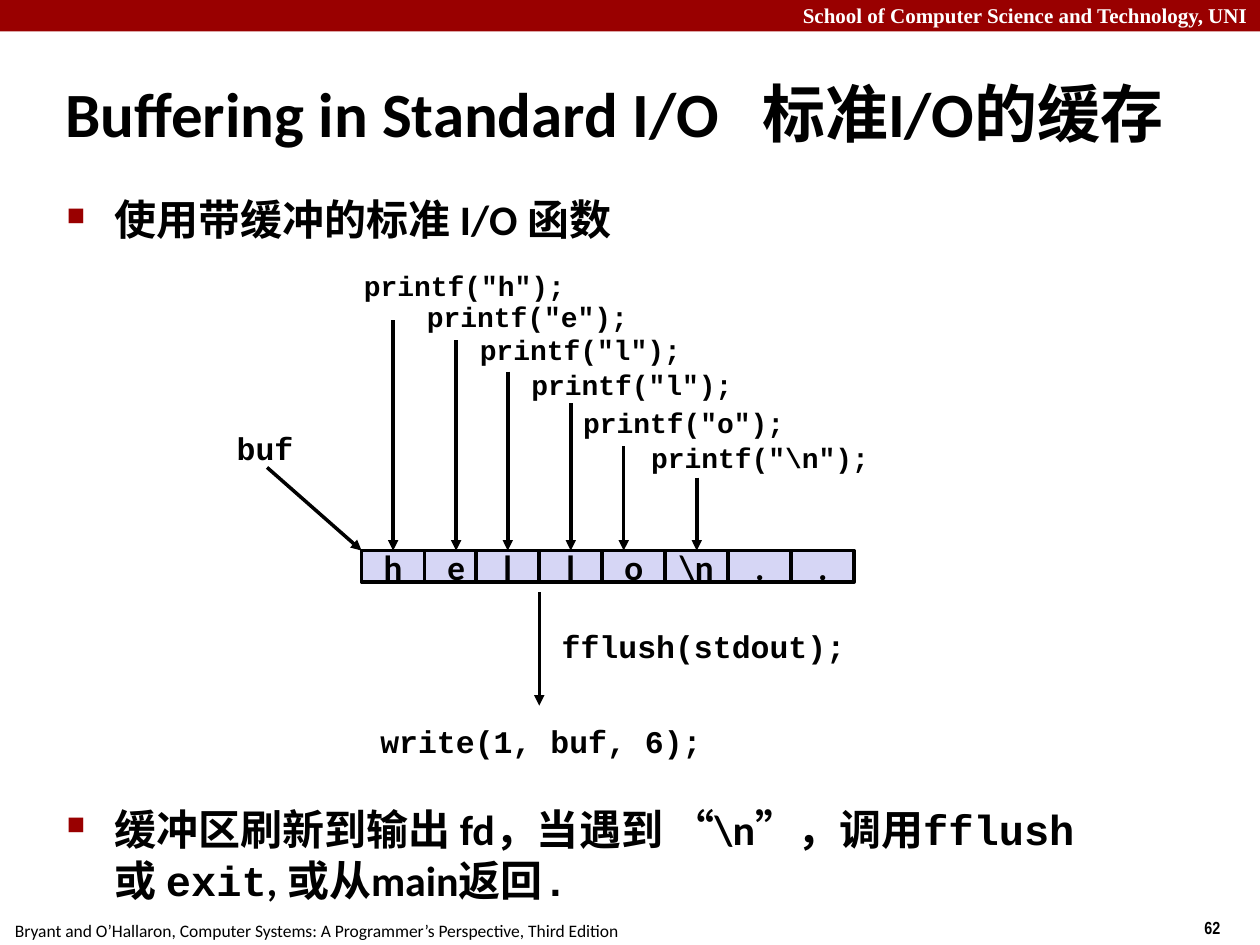
from lxml.etree import SubElement
from pptx import Presentation
from pptx.dml.color import RGBColor
from pptx.enum.shapes import MSO_CONNECTOR, MSO_SHAPE
from pptx.enum.text import MSO_ANCHOR, MSO_AUTO_SIZE, PP_ALIGN
from pptx.oxml.ns import qn
from pptx.util import Inches, Pt

TITLE = "Buffering in Standard I/O   标准I/O的缓存"
BANNER = "School of Computer Science and Technology, UNI"
CITATION = "Bryant and O’Hallaron, Computer Systems: A Programmer’s Perspective, Third Edition"
PAGE = "62"
BULLETS = [
    (1.49, 0.5, [("使用带缓冲的标准 I/O 函数", "Calibri")]),
    (6.33, 0.91, [
        (r"缓冲区刷新到输出 fd，当遇到 “\n”，调用", "Calibri"),
        ("fflush 或 exit", "Courier New"),
        (", 或从main返回", "Calibri"),
        (".", "Courier New"),
    ]),
]
BUFFER = ["h", "e", "l", "l", "o", r"\n", ".", "."]
CALLS = [
    ("h", 2.79, 2.08, 2.54),
    ("e", 3.29, 2.33, 2.70),
    ("l", 3.71, 2.59, 2.95),
    ("l", 4.12, 2.87, 3.20),
    ("o", 4.53, 3.17, 3.54),
    (r"\n", 5.07, 3.45, 3.79),
]
LABELS = [
    ("fflush(stdout);", 4.36, 4.93, 2.47),
    ("buf", 1.78, 3.36, 0.67),
    ("write(1, buf, 6);", 2.92, 5.68, 2.77),
]

RED, BLACK, WHITE, LAVENDER = "990000", "000000", "FFFFFF", "D6D6F5"
BUFFER_LEFT, BUFFER_TOP, CELL_WIDTH, CELL_HEIGHT = 2.87, 4.37, 0.5, 0.25
OVERLAP_FROM, OVERLAP = 2, 0.09
OFF_CENTRE = {4: 4.95}
CALL_WIDTH, LETTER_WIDTH = 1.7, 0.14
CODE = {"size": Pt(16), "name": "Courier New", "bold": True}
LABEL = {**CODE, "size": Pt(18)}
CELL = {"size": Pt(20), "name": "Calibri", "bold": True}
HEADING = {**CELL, "size": Pt(36)}
BULLET = {"size": Pt(24), "bold": True}


def colour(value):
    return RGBColor.from_string(value)


def apply(target, formats):
    for key, value in formats.items():
        setattr(target, key, value)


def write(paragraph, wording, formats, ink=BLACK):
    run = paragraph.add_run()
    run.text = wording
    apply(run.font, formats)
    run.font.color.rgb = colour(ink)


def box(slide, place, wrap=False):
    frame = slide.shapes.add_textbox(*map(Inches, place)).text_frame
    apply(frame, {"word_wrap": wrap, "auto_size": MSO_AUTO_SIZE.NONE
                  if wrap else MSO_AUTO_SIZE.SHAPE_TO_FIT_TEXT})
    return frame.paragraphs[0]


def rectangle(slide, place, fill):
    rect = slide.shapes.add_shape(MSO_SHAPE.RECTANGLE, *map(Inches, place))
    rect.shadow.inherit = False
    rect.fill.solid()
    rect.fill.fore_color.rgb = colour(fill)
    return rect


def arrow(slide, start, end, cell=None):
    connector = slide.shapes.add_connector(
        MSO_CONNECTOR.STRAIGHT, *map(Inches, (*start, *end)))
    if cell is not None:
        connector.end_connect(cell, 0)
    connector.line.width = Pt(2)
    connector.line.color.rgb = colour(BLACK)
    SubElement(connector.line._get_or_add_ln(), qn("a:tailEnd"), type="triangle")
    SubElement(connector._element.spPr, qn("a:effectLst"))


def hang(paragraph, indent):
    properties = paragraph._p.get_or_add_pPr()
    properties.set("marL", str(Inches(indent)))
    properties.set("indent", str(-Inches(indent)))
    return properties


def add_bullet(paragraph):
    properties = hang(paragraph, 0.38)
    SubElement(SubElement(properties, qn("a:buClr")), qn("a:srgbClr"), val=RED)
    SubElement(properties, qn("a:buSzPct"), val="60000")
    SubElement(properties, qn("a:buChar"), char="■")


def add_frame(slide):
    rectangle(slide, (0, 0, 10, 0.25), RED).line.fill.background()
    banner = box(slide, (0, -0.03, 10, 0.3), wrap=True)
    banner.alignment = PP_ALIGN.RIGHT
    write(banner, BANNER, {"size": Pt(12), "name": "Times New Roman", "bold": True}, WHITE)
    write(box(slide, (9.46, 7.23, 0.35, 0.27)), PAGE,
          {"size": Pt(10), "name": "Arial Narrow", "bold": True})
    write(box(slide, (0.02, 7.25, 5.01, 0.27)), CITATION,
          {"size": Pt(10), "name": "Calibri"})


def add_title(slide):
    title = slide.shapes.title
    apply(title, dict(zip(("left", "top", "width", "height"),
                          map(Inches, (0.42, 0.48, 8.99, 0.83)))))
    apply(title.text_frame, {"vertical_anchor": MSO_ANCHOR.MIDDLE, "word_wrap": True,
                             "auto_size": MSO_AUTO_SIZE.NONE})
    heading = title.text_frame.paragraphs[0]
    heading.alignment = PP_ALIGN.LEFT
    hang(heading, 0.13)
    write(heading, TITLE, HEADING)


def add_bullets(slide):
    for top, height, parts in BULLETS:
        paragraph = box(slide, (0.43, top, 8.64, height), wrap=True)
        add_bullet(paragraph)
        for wording, face in parts:
            write(paragraph, wording, {**BULLET, "name": face})


def add_buffer(slide):
    cells = []
    for index, letter in enumerate(BUFFER):
        left = BUFFER_LEFT + index * CELL_WIDTH - OVERLAP * (index >= OVERLAP_FROM)
        cell = rectangle(slide, (left, BUFFER_TOP, CELL_WIDTH, CELL_HEIGHT), LAVENDER)
        cell.line.width = Pt(2)
        cell.line.color.rgb = colour(BLACK)
        apply(cell.text_frame, {"word_wrap": False, "vertical_anchor": MSO_ANCHOR.MIDDLE})
        paragraph = cell.text_frame.paragraphs[0]
        paragraph.alignment = PP_ALIGN.CENTER
        write(paragraph, letter, CELL)
        cells.append((left + CELL_WIDTH / 2, cell))
    return cells


def add_calls(slide, cells):
    for index, (letter, left, top, start) in enumerate(CALLS):
        width = CALL_WIDTH + LETTER_WIDTH * len(letter)
        write(box(slide, (left, top, width, 0.37)), f'printf("{letter}");', CODE)
        centre, cell = cells[index]
        x = OFF_CENTRE.get(index, centre)
        arrow(slide, (x, start), (x, BUFFER_TOP), None if index in OFF_CENTRE else cell)


def add_labels(slide):
    for wording, left, top, width in LABELS:
        write(box(slide, (left, top, width, 0.4)), wording, LABEL)
    arrow(slide, (2.12, 3.71), (BUFFER_LEFT, BUFFER_TOP))
    arrow(slide, (4.28, 4.7), (4.28, 5.6))


def main():
    deck = Presentation()
    apply(deck, {"slide_width": Inches(10), "slide_height": Inches(7.5)})
    slide = deck.slides.add_slide(deck.slide_layouts[5])
    add_frame(slide)
    add_title(slide)
    add_bullets(slide)
    add_calls(slide, add_buffer(slide))
    add_labels(slide)
    deck.save("out.pptx")


if __name__ == "__main__":
    main()
